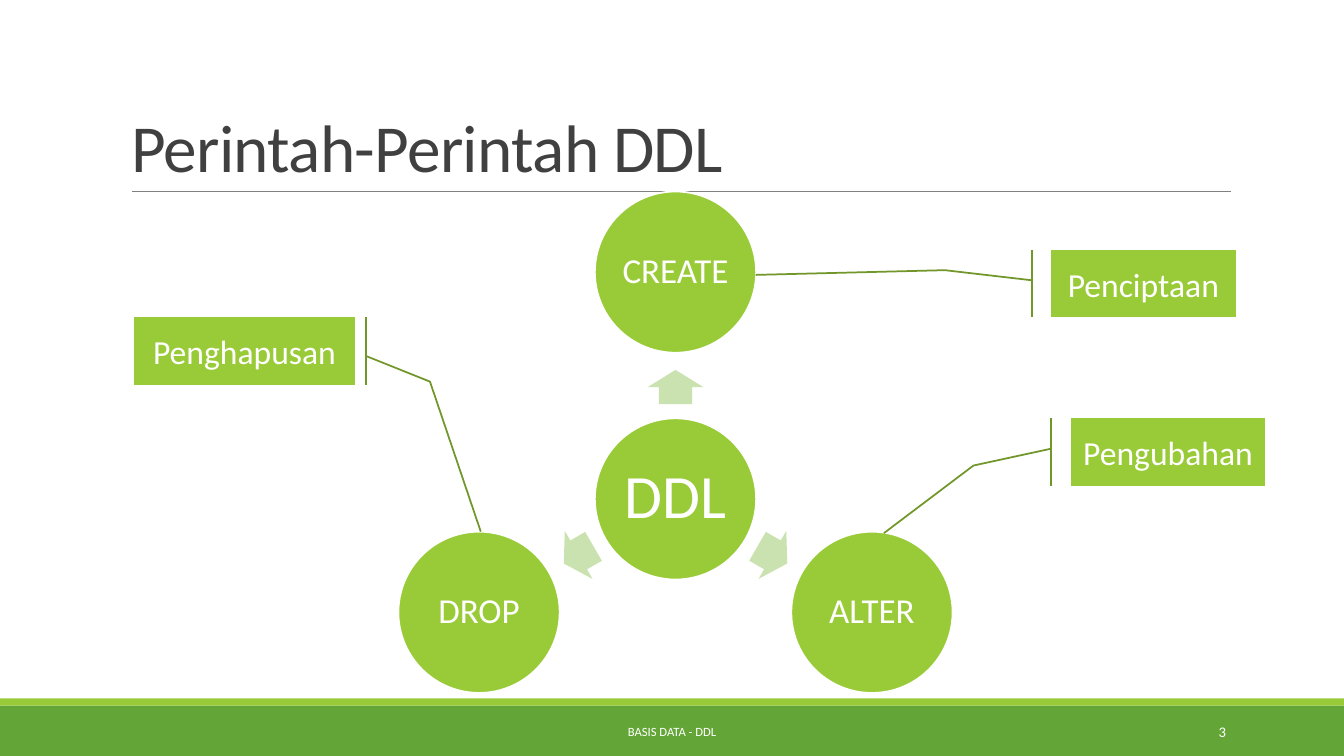
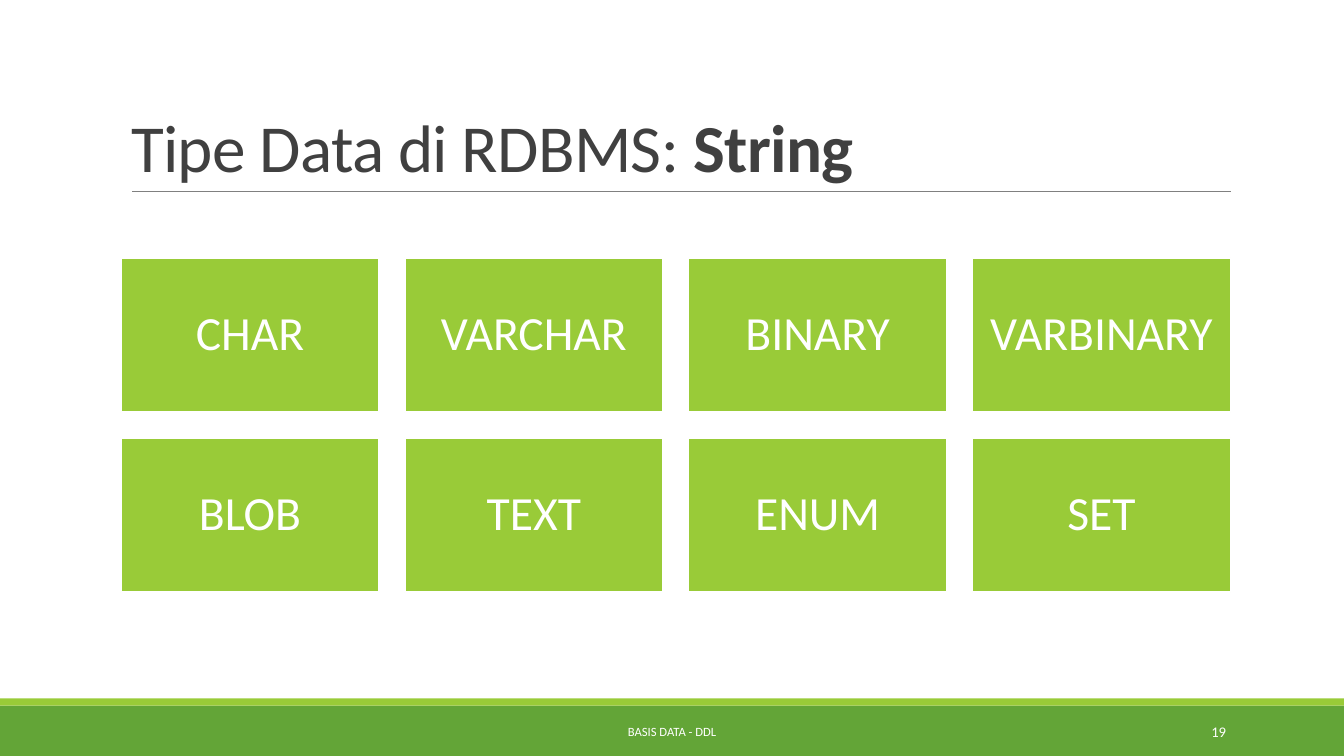
"""Build two slides about data definition commands and string types."""
import math
from dataclasses import dataclass

from lxml import etree
from pptx import Presentation
from pptx import util as u
from pptx.dml.color import RGBColor
from pptx.enum import shapes, text
from pptx.oxml.ns import qn

SHAPE = shapes.MSO_SHAPE
ALIGN = text.PP_ALIGN


@dataclass(frozen=True)
class Theme:
    """Colours, font and type sizes of the deck."""
    font: str = "Calibri"
    dark_green: str = "63A537"
    green: str = "99CB38"
    pale_green: str = "CAE2AF"
    outline: str = "719629"
    rule: str = "808080"
    title: str = "404040"
    white: str = "FFFFFF"
    title_size: float = 48
    hub_size: float = 44
    tile_size: float = 34
    node_size: float = 25
    callout_size: float = 24
    number_size: float = 10.5
    footer_size: float = 9


THEME = Theme()


def inches(*values):
    """Convert numbers to lengths."""
    return [u.Inches(value) for value in values]


def write(shape, runs, size, color=THEME.white, align=ALIGN.CENTER,
          anchor=text.MSO_ANCHOR.MIDDLE, inset=None, spacing=None):
    """Write one paragraph of (wording, bold) runs into a shape."""
    frame = shape.text_frame
    frame.word_wrap = True
    frame.auto_size = text.MSO_AUTO_SIZE.NONE
    frame.vertical_anchor = anchor
    if inset is not None:
        frame.margin_left = frame.margin_right = u.Inches(inset)
        frame.margin_top = frame.margin_bottom = u.Inches(inset)
    paragraph = frame.paragraphs[0]
    paragraph.alignment = align
    paragraph.line_spacing = spacing
    for wording, bold in runs:
        run = paragraph.add_run()
        run.text = wording
        run.font.name = THEME.font
        run.font.size = u.Pt(size)
        run.font.bold = bold
        run.font.color.rgb = RGBColor.from_string(color)


def add_block(slide, kind, box, fill, line=None):
    """Add a filled preset shape with an optional outline."""
    shape = slide.shapes.add_shape(kind, *inches(*box))
    shape.shadow.inherit = False
    shape.fill.solid()
    shape.fill.fore_color.rgb = RGBColor.from_string(fill)
    if line:
        shape.line.color.rgb = RGBColor.from_string(line)
        shape.line.width = u.Pt(1.25)
    else:
        shape.line.fill.background()
    return shape


def add_rule(slide, left, right, top):
    """Add the thin line below the title."""
    rule = slide.shapes.add_connector(
        shapes.MSO_CONNECTOR.STRAIGHT, *inches(left, top, right, top))
    rule.line.color.rgb = RGBColor.from_string(THEME.rule)
    rule.line.width = u.Pt(0.5)
    etree.SubElement(rule.element.spPr, qn("a:effectLst"))


def add_label(slide, box, wording, size, align):
    """Add a text box for the footer band."""
    label = slide.shapes.add_textbox(*inches(*box))
    write(label, [(wording, False)], size, align=align)


def set_title(slide, runs):
    """Place and format the title placeholder."""
    title = slide.shapes.title
    title.left, title.top, title.width, title.height = inches(1.2, 0.31, 11, 1.59)
    write(title, runs, THEME.title_size, THEME.title, ALIGN.LEFT,
          text.MSO_ANCHOR.BOTTOM, spacing=0.85)
    for properties in title.element.iter(qn("a:rPr")):
        properties.set("spc", "-50")


def add_slide(presentation, title_runs, number):
    """Add a slide with the shared bands, rule, title and footer."""
    slide = presentation.slides.add_slide(presentation.slide_layouts[5])
    add_block(slide, SHAPE.RECTANGLE, (0, 7, 13.33, 0.5), THEME.dark_green)
    add_block(slide, SHAPE.RECTANGLE, (0, 6.93, 13.33, 0.07), THEME.green)
    add_rule(slide, 1.31, 12.21, 1.9)
    set_title(slide, title_runs)
    add_label(slide, (4.03, 7.06, 5.27, 0.4), "BASIS DATA - DDL",
              THEME.footer_size, ALIGN.CENTER)
    add_label(slide, (10.83, 7.06, 1.43, 0.4), str(number),
              THEME.number_size, ALIGN.RIGHT)
    return slide


def centered_box(center, distance, angle, width, height):
    """Return a box centred at a polar offset from a point."""
    radians = math.radians(angle)
    return (center[0] + distance * math.cos(radians) - width / 2,
            center[1] + distance * math.sin(radians) - height / 2,
            width, height)


def add_circle(slide, box, wording, size, inset):
    """Add a labelled circle."""
    circle = add_block(slide, SHAPE.OVAL, box, THEME.green, THEME.white)
    write(circle, [(wording, False)], size, inset=inset, spacing=0.9)


def add_radial(slide, center, hub, nodes):
    """Add a hub with arrows pointing to evenly spread nodes."""
    diameter = 1.6
    add_circle(slide, centered_box(center, 0, 0, diameter, diameter),
               hub, THEME.hub_size, 0.06)
    for index, wording in enumerate(nodes):
        angle = 270 + index * 360 / len(nodes)
        arrow = add_block(slide, SHAPE.RIGHT_ARROW,
                          centered_box(center, 1.11, angle, 0.34, 0.55),
                          THEME.pale_green)
        arrow.adjustments[0] = 0.6
        arrow.rotation = angle % 360
        add_circle(slide, centered_box(center, 2.25, angle, diameter, diameter),
                   wording, THEME.node_size, 0.03)


def add_callout(slide, left, top, width, wording, leader):
    """Add a callout whose leader holds relative y, x pairs."""
    callout = add_block(slide, SHAPE.LINE_CALLOUT_2_ACCENT_BAR,
                        (left, top, width, 0.67), THEME.green, THEME.outline)
    for index, value in enumerate(leader):
        callout.adjustments[index] = value
    write(callout, [(wording, False)], THEME.callout_size)


def add_tiles(slide, words, columns):
    """Add a grid of equal labelled tiles."""
    left, top, width, height, gap = 1.2, 2.56, 2.56, 1.53, 0.255
    for index, wording in enumerate(words):
        row, column = divmod(index, columns)
        box = (left + column * (width + gap), top + row * (height + gap),
               width, height)
        tile = add_block(slide, SHAPE.RECTANGLE, box, THEME.green, THEME.white)
        write(tile, [(wording, False)], THEME.tile_size, inset=0.14, spacing=0.9)


def main():
    """Build and save the presentation."""
    presentation = Presentation()
    presentation.slide_width, presentation.slide_height = inches(13.33, 7.5)

    commands = add_slide(presentation, [("Perintah-Perintah DDL", False)], 3)
    add_radial(commands, (6.7, 4.95), "DDL", ["CREATE", "ALTER", "DROP"])
    add_callout(commands, 10.42, 2.48, 1.84, "Penciptaan",
                (0.45, -0.1, 0.3, -0.57, 0.37, -1.59))
    add_callout(commands, 10.62, 4.15, 1.93, "Pengubahan",
                (0.45, -0.1, 0.7, -0.5, 1.7, -0.96))
    add_callout(commands, 1.33, 3.15, 2.19, "Penghapusan",
                (0.57, 1.05, 0.95, 1.34, 3.17, 1.57))

    types = add_slide(presentation,
                      [("Tipe Data di RDBMS: ", False), ("String", True)], 19)
    add_tiles(types, ["CHAR", "VARCHAR", "BINARY", "VARBINARY",
                      "BLOB", "TEXT", "ENUM", "SET"], 4)

    presentation.save("out.pptx")


if __name__ == "__main__":
    main()
